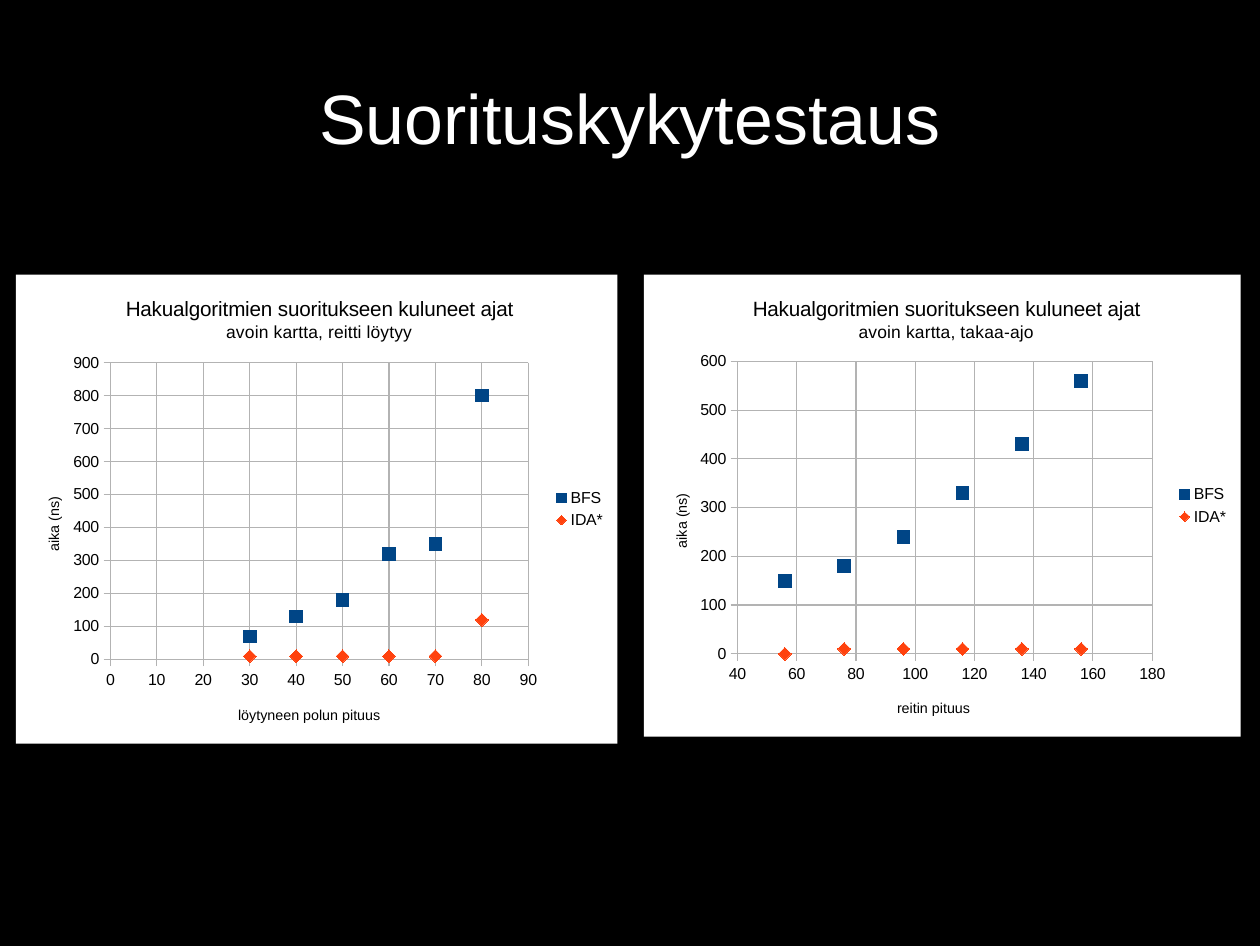
from lxml import etree
from pptx import Presentation
from pptx.chart.data import XyChartData
from pptx.dml.color import RGBColor
from pptx.enum.chart import (XL_CHART_TYPE, XL_LEGEND_POSITION, XL_MARKER_STYLE,
                             XL_TICK_LABEL_POSITION, XL_TICK_MARK)
from pptx.enum.text import MSO_ANCHOR, PP_ALIGN
from pptx.oxml import parse_xml
from pptx.oxml.ns import nsdecls, qn
from pptx.util import Inches, Pt

SCATTER = XL_CHART_TYPE.XY_SCATTER
RIGHT = XL_LEGEND_POSITION.RIGHT
OUTSIDE, NO_TICK = XL_TICK_MARK.OUTSIDE, XL_TICK_MARK.NONE
LOW = XL_TICK_LABEL_POSITION.LOW
CENTER, MIDDLE = PP_ALIGN.CENTER, MSO_ANCHOR.MIDDLE

FONT = "Arial"
COLORS = {"page": "000000", "title": "FFFFFF", "panel": "FFFFFF",
          "text": "000000", "grid": "B3B3B3", "BFS": "004586", "IDA*": "FF420E"}
MARKERS = {"BFS": XL_MARKER_STYLE.SQUARE, "IDA*": XL_MARKER_STYLE.DIAMOND}

WIDTH, HEIGHT = Inches(11.02), Inches(8.27)
CHART_TITLE = "Hakualgoritmien suoritukseen kuluneet ajat"

# Boxes are left, top, width, height in percent of the slide.
TITLE_BOX = (5, 4, 90, 16.7)
CHARTS = [
    {"box": (51.09, 29.02, 47.37, 48.85), "subtitle": "avoin kartta, takaa-ajo",
     "x_title": "reitin pituus", "x_title_left": 42,
     "x_scale": (40, 180, 20), "y_scale": (0, 600, 100),
     "lengths": range(56, 157, 20),
     "times": {"BFS": (150, 180, 240, 330, 430, 560),
               "IDA*": (0, 10, 10, 10, 10, 10)}},
    {"box": (1.27, 29.02, 47.73, 49.58), "subtitle": "avoin kartta, reitti löytyy",
     "x_title": "löytyneen polun pituus", "x_title_left": 36.5,
     "x_scale": (0, 90, 10), "y_scale": (0, 900, 100),
     "lengths": range(80, 29, -10),
     "times": {"BFS": (800, 350, 320, 180, 130, 70),
               "IDA*": (120, 10, 10, 10, 10, 10)}},
]


def color(name):
    return RGBColor.from_string(COLORS[name])


def slide_box(left, top, width, height):
    return (round(WIDTH * left / 100), round(HEIGHT * top / 100),
            round(WIDTH * width / 100), round(HEIGHT * height / 100))


def set_font(font, size, color_name="text"):
    values = {"name": FONT, "size": Pt(size), "bold": False}
    for key, value in values.items():
        setattr(font, key, value)
    font.color.rgb = color(color_name)


def place(part, **shares):
    """Fix a chart part at x, y (and w, h), given in percent of the chart."""
    for old in part.findall(qn("c:layout")):
        part.remove(old)
    layout = parse_xml(f"<c:layout {nsdecls('c')}/>")
    manual = etree.SubElement(layout, qn("c:manualLayout"))
    if "w" in shares:
        etree.SubElement(manual, qn("c:layoutTarget")).set("val", "inner")
    for key in ("x", "y"):
        etree.SubElement(manual, qn(f"c:{key}Mode")).set("val", "edge")
    for key, share in shares.items():
        etree.SubElement(manual, qn(f"c:{key}")).set("val", str(share / 100))
    part.insert(0 if part.find(qn("c:tx")) is None else 1, layout)


def write_title(title, lines, x, y):
    """Write (text, size) lines as the title of a chart or an axis."""
    frame = title.text_frame
    for number, (text, size) in enumerate(lines):
        para = frame.add_paragraph() if number else frame.paragraphs[0]
        span = para.add_run()
        span.text = text
        set_font(span.font, size)
    place(title._element, x=x, y=y)


def format_axis(axis, scale, title, x, y, rotation):
    low, high, step = scale
    values = {"minimum_scale": low, "maximum_scale": high, "major_unit": step,
              "has_major_gridlines": True, "major_tick_mark": OUTSIDE,
              "minor_tick_mark": NO_TICK, "tick_label_position": LOW}
    for key, value in values.items():
        setattr(axis, key, value)
    for line in (axis.format.line, axis.major_gridlines.format.line):
        line.color.rgb = color("grid")
        line.width = Pt(0)
    labels = axis.tick_labels
    labels.number_format, labels.number_format_is_linked = "General", False
    set_font(labels.font, 10)
    write_title(axis.axis_title, [(title, 9)], x, y)
    body = axis.axis_title._element.find(".//" + qn("a:bodyPr"))
    body.set("rot", str(rotation * 60000))
    body.set("vert", "horz")


def format_series(series):
    series.format.line.fill.background()
    marker = series.marker
    marker.style, marker.size = MARKERS[series.name], 8
    marker.format.fill.solid()
    marker.format.fill.fore_color.rgb = color(series.name)
    marker.format.line.fill.background()


def fill_panel(chart):
    """Give the chart a plain background without a border."""
    panel = parse_xml(
        f"<c:spPr {nsdecls('c', 'a')}><a:solidFill><a:srgbClr val=\"{COLORS['panel']}\"/>"
        "</a:solidFill><a:ln><a:noFill/></a:ln></c:spPr>")
    chart._chartSpace.find(qn("c:chart")).addnext(panel)


def add_scatter(page, content):
    data = XyChartData()
    for name, times in content["times"].items():
        series = data.add_series(name)
        for length, time in zip(content["lengths"], times):
            series.add_data_point(length, time)
    chart = page.shapes.add_chart(SCATTER, *slide_box(*content["box"]), data).chart
    set_font(chart.font, 10)
    fill_panel(chart)
    write_title(chart.chart_title, [(CHART_TITLE, 13), (content["subtitle"], 11)], 17.7, 4)
    format_axis(chart.category_axis, content["x_scale"], content["x_title"],
                content["x_title_left"], 91.3, 0)
    format_axis(chart.value_axis, content["y_scale"], "aika (ns)", 4.3, 46.8, -90)
    place(chart._chartSpace.find(".//" + qn("c:plotArea")), x=15.7, y=18.8, w=69.5, h=63.3)
    chart.has_legend = True
    chart.legend.position = RIGHT
    chart.legend.include_in_layout = False
    set_font(chart.legend.font, 10)
    plot = chart.plots[0]
    plot.vary_by_categories = False
    for series in plot.series:
        series.smooth = False
        format_series(series)


def add_title(page, text):
    title = page.shapes.title
    title.left, title.top, title.width, title.height = slide_box(*TITLE_BOX)
    frame = title.text_frame
    values = {"margin_left": 0, "margin_top": 0, "margin_right": 0, "margin_bottom": 0,
              "vertical_anchor": MIDDLE, "word_wrap": True}
    for key, value in values.items():
        setattr(frame, key, value)
    para = frame.paragraphs[0]
    para.alignment = CENTER
    span = para.add_run()
    span.text = text
    set_font(span.font, 44, "title")


def main():
    deck = Presentation()
    deck.slide_width, deck.slide_height = WIDTH, HEIGHT
    page = deck.slides.add_slide(deck.slide_layouts[5])
    page.background.fill.solid()
    page.background.fill.fore_color.rgb = color("page")
    add_title(page, "Suorituskykytestaus")
    for content in CHARTS:
        add_scatter(page, content)
    deck.save("out.pptx")


if __name__ == "__main__":
    main()
